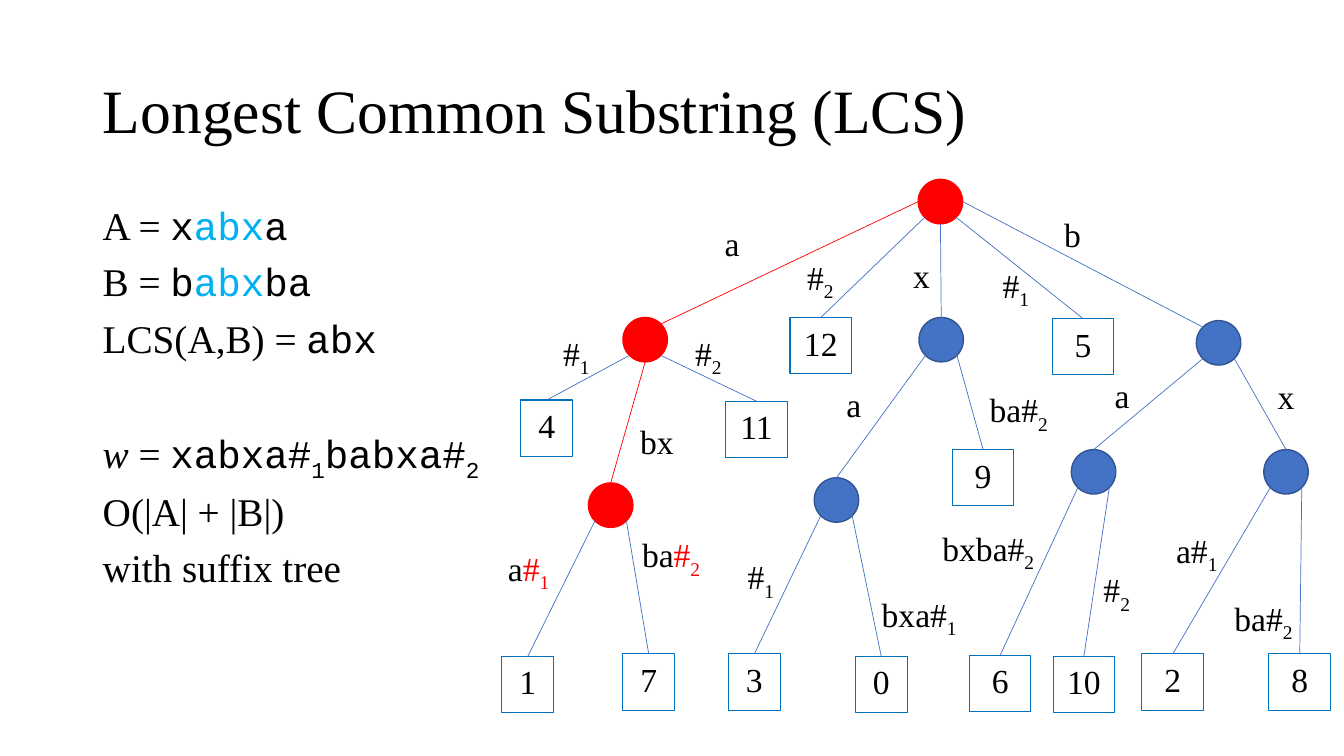
from lxml import etree
from pptx import Presentation
from pptx.dml.color import RGBColor
from pptx.enum.shapes import MSO_CONNECTOR, MSO_SHAPE
from pptx.enum.text import MSO_ANCHOR, PP_ALIGN
from pptx.oxml.ns import qn
from pptx.util import Cm, Pt

OVAL, RECT, STRAIGHT = MSO_SHAPE.OVAL, MSO_SHAPE.RECTANGLE, MSO_CONNECTOR.STRAIGHT
LEFT, CENTER = PP_ALIGN.LEFT, PP_ALIGN.CENTER
TOP, MIDDLE = MSO_ANCHOR.TOP, MSO_ANCHOR.MIDDLE

BLACK = RGBColor(0x00, 0x00, 0x00)
RED = RGBColor(0xFF, 0x00, 0x00)
BLUE = RGBColor(0x44, 0x72, 0xC4)
DARK_BLUE = RGBColor(0x32, 0x54, 0x91)
LEAF_BLUE = RGBColor(0x00, 0x70, 0xC0)
SKY = RGBColor(0x00, 0xB0, 0xF0)
SERIF, MONO = "Times New Roman", "Courier New"

NODE = 1.12
LEAF_HEIGHT, NARROW, WIDE = 1.42, 1.3, 1.55

# Inner nodes, named by the string they spell: left, top in cm
NODES = {
    "root": (23.14, 4.52), "b": (30.15, 8.08), "a": (15.7, 8), "x": (23.16, 8),
    "abx": (14.83, 12.17), "xa": (20.52, 12.04),
    "bx": (31.85, 11.33), "ba": (27, 11.33),
}
COMMON = ("root", "a", "abx")  # nodes on the way to the longest common substring

# Leaves, named by suffix start: left, top, width in cm
LEAVES = {
    "4": (13.13, 10.08, NARROW), "1": (12.65, 16.54, NARROW),
    "7": (15.7, 16.48, NARROW), "3": (18.36, 16.48, NARROW),
    "0": (21.56, 16.54, NARROW), "11": (18.29, 10.11, WIDE),
    "12": (19.91, 8, WIDE), "5": (26.52, 8.03, WIDE), "9": (24, 11.33, WIDE),
    "6": (24.43, 16.51, WIDE), "10": (26.54, 16.54, WIDE),
    "2": (28.78, 16.48, WIDE), "8": (31.98, 16.48, WIDE),
}

# Points on a node's box as fractions of its width and height
NEAR, FAR = 0.146, 0.854
SITES = {
    "top": (0.5, 0), "left": (0, 0.5), "right": (1, 0.5), "bottom": (0.5, 1),
    "top left": (NEAR, NEAR), "top right": (FAR, NEAR),
    "bottom left": (NEAR, FAR), "bottom right": (FAR, FAR),
}

# Parent, site on parent, child, site on child
EDGES = [
    ("root", "left", "a", "top right"), ("root", "bottom left", "12", "top"),
    ("root", "bottom", "x", "top"), ("root", "bottom right", "5", "top"),
    ("root", "right", "b", "top left"),
    ("a", "bottom left", "4", "top"), ("a", "bottom", "abx", "top"),
    ("a", "bottom right", "11", "top"),
    ("x", "bottom left", "xa", "top"), ("x", "bottom right", "9", "top"),
    ("b", "bottom left", "ba", "top"), ("b", "bottom right", "bx", "top"),
    ("abx", "bottom left", "1", "top"), ("abx", "bottom right", "7", "top"),
    ("xa", "bottom left", "3", "top"), ("xa", "bottom right", "0", "top"),
    ("ba", "bottom left", "6", "top"), ("ba", "bottom right", "10", "top"),
    ("bx", "bottom left", "2", "top"), ("bx", "bottom right", "8", "top"),
]

# Letters, number of the end mark (or none), left, top, width in cm, mark colour
LABELS = [
    ("a", "", 27.84, 9.32, 1.55, BLACK), ("b", "", 26.57, 5.26, 1.55, BLACK),
    ("a", "", 18.01, 5.49, 1.55, BLACK), ("x", "", 31.95, 9.35, 1.55, BLACK),
    ("a", "1", 29.39, 13.23, 2.11, BLACK), ("ba", "2", 30.86, 14.94, 2.36, BLACK),
    ("", "2", 27.56, 14.22, 1.55, BLACK), ("bxba", "2", 23.5, 13.18, 3.23, BLACK),
    ("ba", "2", 24.69, 9.68, 2.36, BLACK), ("a", "", 21.08, 9.55, 1.55, BLACK),
    ("bxa", "1", 21.97, 14.83, 3.23, BLACK), ("", "1", 25.02, 6.55, 1.55, BLACK),
    ("", "1", 18.59, 13.89, 1.55, BLACK), ("", "2", 20.09, 6.35, 1.55, BLACK),
    ("x", "", 22.76, 6.3, 1.55, BLACK), ("", "1", 13.94, 8.26, 1.55, BLACK),
    ("", "2", 17.27, 8.26, 1.55, BLACK), ("bx", "", 15.88, 10.49, 1.55, BLACK),
    ("a", "1", 12.55, 13.67, 1.96, RED), ("ba", "2", 15.93, 13.34, 2.74, RED),
]


def add_run(p, text, size, font=SERIF, color=BLACK, italic=False, sub=False):
    r = p.add_run()
    r.text = text
    r.font.size, r.font.name, r.font.italic = Pt(size), font, italic
    r.font.color.rgb = color
    if sub:
        r._r.get_or_add_rPr().set("baseline", "-25000")


def add_title(s, text):
    title = s.shapes.title
    title.left, title.top, title.width, title.height = Cm(2.34), Cm(1.02), Cm(29.21), Cm(3.68)
    tf = title.text_frame
    tf.vertical_anchor = MIDDLE
    p = tf.paragraphs[0]
    p.alignment, p.line_spacing = LEFT, 0.9
    add_run(p, text, 44)


def add_notes_text(s):
    """Add the two strings, their longest common substring and the method."""
    mono, sky = {"font": MONO}, {"font": MONO, "color": SKY}
    sub = {"font": MONO, "sub": True}
    # Space before, then the runs of each paragraph
    lines = [
        (0, [("A = ", {}), ("x", mono), ("abx", sky), ("a", mono)]),
        (10, [("B = ", {}), ("b", mono), ("abx", sky), ("ba", mono)]),
        (10, [("LCS(A,B) = ", {}), ("abx", mono)]),
        (49, [("w", {"italic": True}), (" = ", {}), ("xabxa#", mono), ("1", sub),
              ("babxa#", mono), ("2", sub)]),
        (10, [("O(|A| + |B|)", {})]),
        (10, [("with suffix tree", {})]),
    ]
    tf = s.shapes.add_textbox(Cm(2.34), Cm(5.08), Cm(10.6), Cm(12.09)).text_frame
    tf.word_wrap = True
    for i, (space, runs) in enumerate(lines):
        p = tf.add_paragraph() if i else tf.paragraphs[0]
        p.line_spacing, p.space_before = 0.9, Pt(space)
        for text, style in runs:
            add_run(p, text, 28, **style)


def add_node(tree, name):
    left, top = NODES[name]
    sp = tree.add_shape(OVAL, Cm(left), Cm(top), Cm(NODE), Cm(NODE))
    sp.shadow.inherit = False
    sp.fill.solid()
    sp.fill.fore_color.rgb = RED if name in COMMON else BLUE
    sp.line.color.rgb = RED if name in COMMON else DARK_BLUE
    sp.line.width = Pt(1)


def add_leaf(tree, name):
    left, top, width = LEAVES[name]
    sp = tree.add_shape(RECT, Cm(left), Cm(top), Cm(width), Cm(LEAF_HEIGHT))
    sp.shadow.inherit = False
    sp.fill.background()
    sp.line.color.rgb = LEAF_BLUE
    sp.line.width = Pt(0.75)
    sp.text_frame.vertical_anchor = TOP
    p = sp.text_frame.paragraphs[0]
    p.alignment = CENTER
    add_run(p, name, 24)


def site_point(name, site):
    """Return the x and y of a connection site on a node or leaf."""
    if name in NODES:
        (left, top), width, height = NODES[name], NODE, NODE
    else:
        (left, top, width), height = LEAVES[name], LEAF_HEIGHT
    fx, fy = SITES[site]
    return Cm(left + fx * width), Cm(top + fy * height)


def add_edge(tree, parent, parent_site, child, child_site):
    line = tree.add_connector(STRAIGHT, *site_point(parent, parent_site),
                              *site_point(child, child_site))
    line.line.color.rgb = RED if child in COMMON else BLUE
    line.line.width = Pt(0.5)
    etree.SubElement(line._element.spPr, qn("a:effectLst"))


def add_label(tree, letters, mark, left, top, width, mark_color):
    tf = tree.add_textbox(Cm(left), Cm(top), Cm(width), Cm(1.42)).text_frame
    tf.word_wrap = True
    p = tf.paragraphs[0]
    if letters:
        add_run(p, letters, 24)
    if mark:
        add_run(p, "#", 24, color=mark_color)
        add_run(p, mark, 24, color=mark_color, sub=True)


def main():
    prs = Presentation()
    prs.slide_width, prs.slide_height = Cm(33.87), Cm(19.05)
    s = prs.slides.add_slide(prs.slide_layouts[5])
    add_title(s, "Longest Common Substring (LCS)")
    add_notes_text(s)
    tree = s.shapes.add_group_shape().shapes
    for name in NODES:
        add_node(tree, name)
    for edge in EDGES:
        add_edge(tree, *edge)
    for name in LEAVES:
        add_leaf(tree, name)
    for label in LABELS:
        add_label(tree, *label)
    prs.save("out.pptx")


if __name__ == "__main__":
    main()
